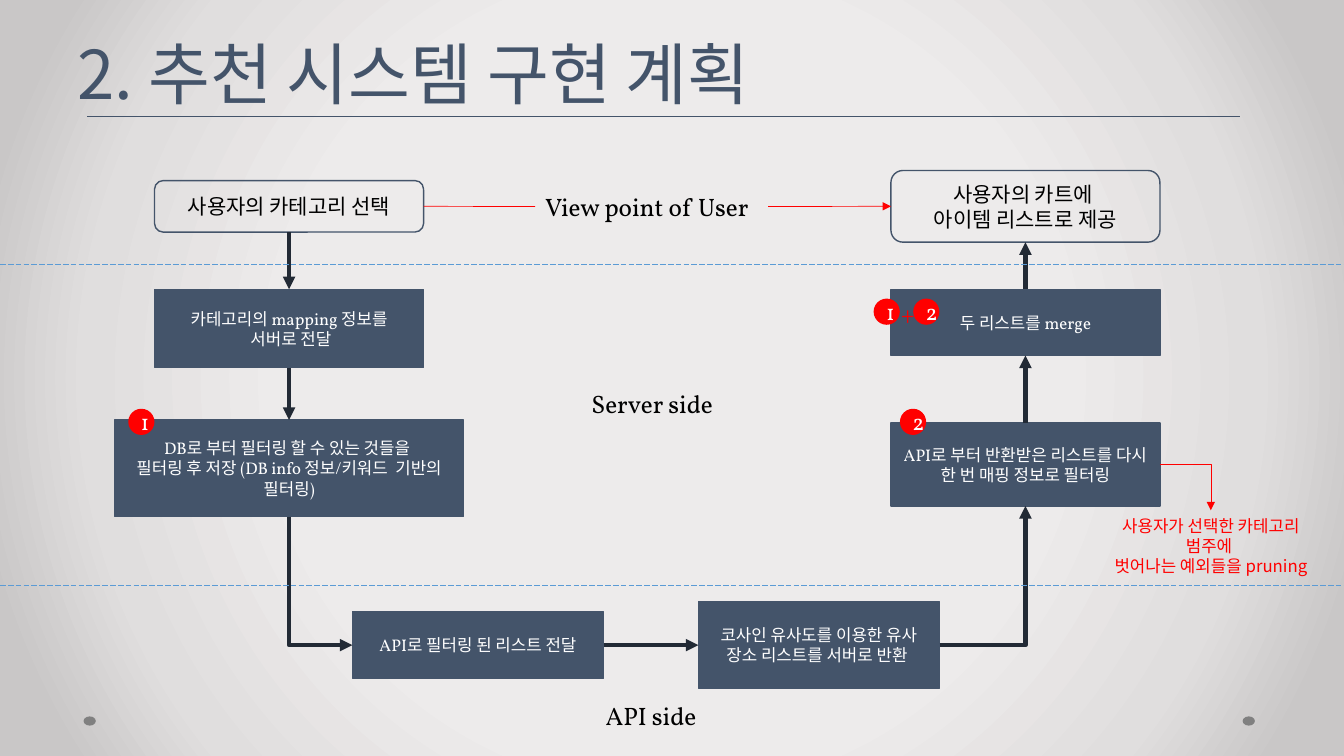
from dataclasses import dataclass

from lxml import etree
from pptx import Presentation
from pptx.dml.color import RGBColor
from pptx.enum.dml import MSO_LINE
from pptx.enum.shapes import MSO_CONNECTOR, MSO_SHAPE
from pptx.enum.text import MSO_ANCHOR, MSO_AUTO_SIZE, PP_ALIGN
from pptx.oxml import parse_xml
from pptx.oxml.ns import nsdecls, qn
from pptx.util import Pt

RECT, ROUND, OVAL = MSO_SHAPE.RECTANGLE, MSO_SHAPE.ROUNDED_RECTANGLE, MSO_SHAPE.OVAL
STRAIGHT, ELBOW = MSO_CONNECTOR.STRAIGHT, MSO_CONNECTOR.ELBOW
LEFT, CENTER = PP_ALIGN.LEFT, PP_ALIGN.CENTER
MIDDLE, BOTTOM = MSO_ANCHOR.MIDDLE, MSO_ANCHOR.BOTTOM
FIT, NO_FIT = MSO_AUTO_SIZE.SHAPE_TO_FIT_TEXT, MSO_AUTO_SIZE.NONE
LONG_DASH = MSO_LINE.LONG_DASH
TOP_SIDE, LEFT_SIDE, BOTTOM_SIDE, RIGHT_SIDE = range(4)


@dataclass(frozen=True)
class Theme:
    navy: str = "44546A"
    dark: str = "222A35"
    red: str = "FF0000"
    blue: str = "5B9BD5"
    gray: str = "808080"
    white: str = "FFFFFF"
    black: str = "000000"
    backdrop: tuple = ((50, "EDEBEB"), (76, "E0DEDE"), (92, "C9C7C7"))
    body: str = "Vollkorn"
    korean: str = "Noto Sans CJK KR"
    title: int = 48
    label: int = 18
    badge: int = 16
    user: int = 15
    step: int = 12


class FlowSlide:
    def __init__(self, prs, theme):
        self.t = theme
        self.s = prs.slides.add_slide(prs.slide_layouts[5])

    def background(self):
        stops = "".join(f'<a:gs pos="{pos * 1000}"><a:srgbClr val="{c}"/></a:gs>'
                        for pos, c in self.t.backdrop)
        bg = parse_xml(
            f'<p:bg {nsdecls("p", "a")}><p:bgPr><a:gradFill rotWithShape="1">'
            f'<a:gsLst>{stops}</a:gsLst><a:path path="circle">'
            '<a:fillToRect l="50000" t="50000" r="50000" b="50000"/></a:path>'
            '</a:gradFill><a:effectLst/></p:bgPr></p:bg>')
        self.s.element.cSld.insert(0, bg)

    def put_text(self, sp, text, size, color, font=None, align=CENTER, **frame):
        tf = sp.text_frame
        for name, value in frame.items():
            setattr(tf, name, value)
        p = tf.paragraphs[0]
        p.text = text
        p.alignment = align
        style = {"size": Pt(size), "name": font or self.t.body}
        for r in p.runs:
            for name, value in style.items():
                setattr(r.font, name, value)
            r.font.color.rgb = RGBColor.from_string(color)
            ea = etree.Element(qn("a:ea"), typeface=self.t.korean)
            r.font._element.find(qn("a:latin")).addnext(ea)
        return p

    def title(self, text):
        sp = self.s.shapes.title
        box = {"left": 48, "top": 0, "width": 864, "height": 84.2}
        for name, value in box.items():
            setattr(sp, name, Pt(value))
        p = self.put_text(sp, text, self.t.title, self.t.navy, self.t.korean, LEFT,
                          vertical_anchor=BOTTOM, word_wrap=True, auto_size=NO_FIT)
        p.line_spacing = Pt(self.t.title)

    def shape(self, kind, cx, top, w, h, fill=None, line=None):
        sp = self.s.shapes.add_shape(kind, Pt(cx - w / 2), Pt(top), Pt(w), Pt(h))
        sp.shadow.inherit = False
        if fill:
            sp.fill.solid()
            sp.fill.fore_color.rgb = RGBColor.from_string(fill)
        else:
            sp.fill.background()
        if line:
            sp.line.color.rgb = RGBColor.from_string(line)
            sp.line.width = Pt(1)
        else:
            sp.line.fill.background()
        return sp

    def step(self, text, cx, top, w, h):
        sp = self.shape(RECT, cx, top, w, h, self.t.navy, self.t.navy)
        self.put_text(sp, text, self.t.step, self.t.white, vertical_anchor=MIDDLE)
        return sp

    def user_box(self, text, cx, top, w, h):
        sp = self.shape(ROUND, cx, top, w, h, line=self.t.navy)
        self.put_text(sp, text, self.t.user, self.t.black, vertical_anchor=MIDDLE)
        return sp

    def badge(self, text, cx, top):
        sp = self.shape(OVAL, cx, top, 18.7, 18.7, self.t.red)
        self.put_text(sp, text, self.t.badge, self.t.white, vertical_anchor=MIDDLE)

    def label(self, text, x, y, w, h=29, wrap=False, size=None, color=None,
              font=None, align=LEFT):
        sp = self.s.shapes.add_textbox(Pt(x), Pt(y), Pt(w), Pt(h))
        self.put_text(sp, text, size or self.t.label, color or self.t.black,
                      font, align, word_wrap=wrap, auto_size=FIT)
        return sp

    def line(self, x1, y1, x2, y2, color, width=0.5, kind=STRAIGHT, arrow=False, dash=None):
        c = self.s.shapes.add_connector(kind, Pt(x1), Pt(y1), Pt(x2), Pt(y2))
        c.line.color.rgb = RGBColor.from_string(color)
        c.line.width = Pt(width)
        if dash:
            c.line.dash_style = dash
        spPr = c._element.spPr
        if arrow:
            etree.SubElement(spPr.find(qn("a:ln")), qn("a:tailEnd"), type="triangle")
        etree.SubElement(spPr, qn("a:effectLst"))
        return c

    def link(self, a, a_side, b, b_side, color, width, kind=STRAIGHT, arrow=True):
        c = self.line(0, 0, 0, 0, color, width, kind, arrow)
        c.begin_connect(a, a_side)
        c.end_connect(b, b_side)
        if kind == ELBOW:
            c._element.spPr.find(qn("a:prstGeom")).set("prst", "bentConnector2")
            if a_side == BOTTOM_SIDE:
                self.turn_down_first(c)

    def turn_down_first(self, c):
        x, y, w, h = c.left, c.top, c.width, c.height
        c.left, c.top = x + (w - h) // 2, y + (h - w) // 2
        c.width, c.height = h, w
        xfrm = c._element.spPr.find(qn("a:xfrm"))
        xfrm.set("rot", "16200000")
        xfrm.set("flipH", "1")


def main():
    prs = Presentation()
    prs.slide_width, prs.slide_height = Pt(960), Pt(540)
    t = Theme()
    f = FlowSlide(prs, t)

    # Backdrop, title and footer dots
    f.background()
    for cx in (892, 64.1):
        f.shape(OVAL, cx, 511.7, 8.8, 6.6, t.gray)
    f.title("2. 추천 시스템 구현 계획")
    f.line(62.4, 83, 885.6, 83, t.navy)

    # Boxes, centred on the left and right columns
    left, right, wide = 206.5, 732.5, 192.2
    select = f.user_box("사용자의 카테고리 선택", left, 129, wide, 36.8)
    mapping = f.step("카테고리의 mapping 정보를\n 서버로 전달", left, 206.7, wide, 56)
    database = f.step("DB로 부터 필터링 할 수 있는 것들을 \n필터링 후 저장 "
                      "(DB info 정보/키워드  기반의 필터링)", left, 300, 249.3, 69)
    send = f.step("API로 필터링 된 리스트 전달", 341.5, 437, 179.5, 47.6)
    cosine = f.step("코사인 유사도를 이용한 유사 장소 리스트를 서버로 반환 ",
                    585, 429.8, 172.3, 62)
    refilter = f.step("API로 부터 반환받은 리스트를 다시 한 번 매핑 정보로 필터링",
                      right, 302.3, wide, 59.2)
    merge = f.step("두 리스트를 merge", right, 206.7, wide, 47.3)
    cart = f.user_box("사용자의 카트에 \n아이템 리스트로 제공", right, 121.8, wide, 51.2)

    # Main flow
    for a, a_side, b, b_side, kind in (
            (select, BOTTOM_SIDE, mapping, TOP_SIDE, STRAIGHT),
            (mapping, BOTTOM_SIDE, database, TOP_SIDE, STRAIGHT),
            (database, BOTTOM_SIDE, send, LEFT_SIDE, ELBOW),
            (send, RIGHT_SIDE, cosine, LEFT_SIDE, STRAIGHT),
            (cosine, RIGHT_SIDE, refilter, BOTTOM_SIDE, ELBOW),
            (refilter, TOP_SIDE, merge, BOTTOM_SIDE, STRAIGHT),
            (merge, TOP_SIDE, cart, BOTTOM_SIDE, STRAIGHT)):
        f.link(a, a_side, b, b_side, t.dark, 3, kind)

    # Numbered lists and their sum
    for text, cx, top in (("1", 101, 292), ("2", 652.2, 292),
                          ("1", 633.4, 213.3), ("2", 661.7, 213.3)):
        f.badge(text, cx, top)
    f.label("+", 636.5, 209.5, 23.8, wrap=True, color=t.red)

    # Pruning note
    note = f.label("사용자가 선택한 카테고리 범주에 \n벗어나는 예외들을 pruning",
                   778.2, 364.5, 173.5, 36, wrap=True, size=t.step, color=t.red,
                   font=t.korean, align=CENTER)
    f.link(refilter, RIGHT_SIDE, note, TOP_SIDE, t.red, 0.5, ELBOW)

    # Zones
    for y in (188.8, 418):
        f.line(0, y, 960, y, t.blue, dash=LONG_DASH)
    f.label("Server side", 415.4, 273.6, 103)
    f.label("API side", 425.5, 496.8, 83.5)
    view = f.label("View point of User", 382.3, 133, 166.3)
    f.link(select, RIGHT_SIDE, view, LEFT_SIDE, t.red, 0.5, arrow=False)
    f.link(view, RIGHT_SIDE, cart, LEFT_SIDE, t.red, 0.5)

    prs.save("out.pptx")


if __name__ == "__main__":
    main()
